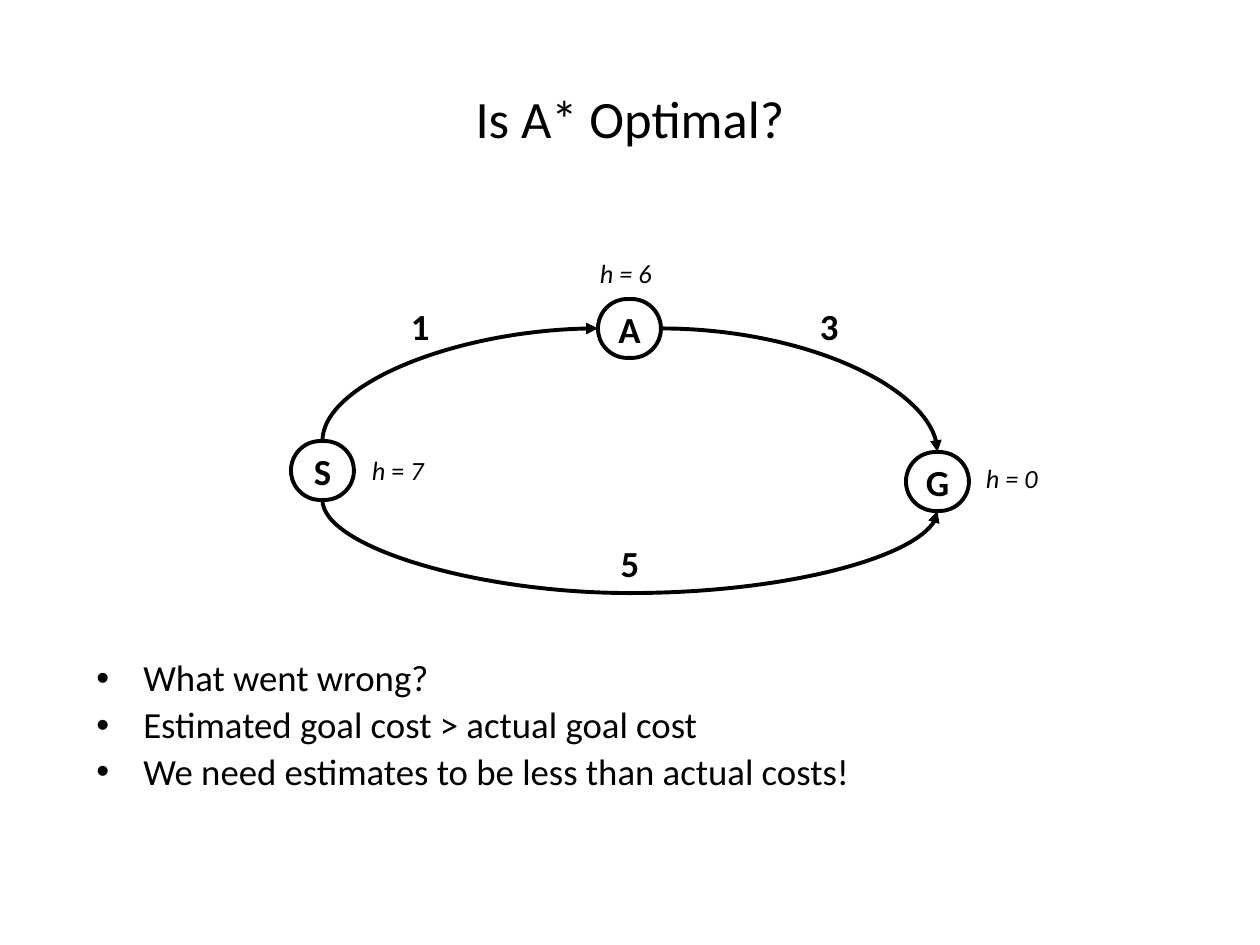
from dataclasses import dataclass

from lxml.etree import SubElement
from pptx import Presentation
from pptx.dml.color import RGBColor
from pptx.enum.shapes import MSO_CONNECTOR, MSO_SHAPE
from pptx.enum.text import MSO_ANCHOR, PP_ALIGN
from pptx.oxml.ns import qn
from pptx.util import Emu, Pt


@dataclass(frozen=True)
class Theme:
    font: str = "Calibri"
    ink: RGBColor = RGBColor(0, 0, 0)
    title: int = 30
    text: int = 21
    small: int = 15
    line: float = 2.25


# Content: all lengths in px, 126 to the inch
TITLE = "Is A* Optimal?"
BULLETS = ["What went wrong?",
           "Estimated goal cost > actual goal cost",
           "We need estimates to be less than actual costs!"]
NODE_W, NODE_H = 63, 59
NODES = {"A": (598, 299), "G": (906, 452), "S": (291, 441)}
COSTS = [("1", (402, 299, 48, 54), PP_ALIGN.LEFT),
         ("3", (811, 299, 48, 54), PP_ALIGN.LEFT),
         ("5", (0, 536, 1260, 54), PP_ALIGN.CENTER)]
# Heuristic labels as (text, italic) runs
HEURISTICS = [([("h = 6", True)], (591, 252, 95, 42)),
              ([("h = 0", True)], (977, 457, 95, 42)),
              ([("h", True), (" = ", False), ("7", True)], (363, 449, 78, 42))]
# From node and side, to node and side, preset rotation, depth of the bend
EDGES = [("S", "bottom", "G", "bottom", 270, 93),
         ("S", "top", "A", "left", 90, None),
         ("A", "right", "G", "top", 0, None)]
SIDES = {"left": (0, 0.5), "right": (1, 0.5), "top": (0.5, 0), "bottom": (0.5, 1)}

T = Theme()
prs = Presentation()
prs.slide_width, prs.slide_height = Emu(9144000), Emu(6858000)
s = prs.slides.add_slide(prs.slide_layouts[6])


def px(n):
    return Emu(round(n * 914400 / 126))


def style(r, size, bold=False, italic=False):
    f = r.font
    f.name, f.size, f.bold, f.italic = T.font, Pt(size), bold, italic
    f.color.rgb = T.ink


def tight(tf):
    tf.margin_left = tf.margin_right = px(9)
    tf.margin_top = tf.margin_bottom = px(5)


def text_box(box):
    tf = s.shapes.add_textbox(*map(px, box)).text_frame
    tf.word_wrap = True
    return tf


def add_run(p, text, size, **kw):
    r = p.add_run()
    r.text = text
    style(r, size, **kw)


def add_node(name, at):
    sp = s.shapes.add_shape(MSO_SHAPE.ROUNDED_RECTANGLE,
                            *map(px, (*at, NODE_W, NODE_H)))
    sp.adjustments[0] = 0.5
    sp.shadow.inherit = False
    sp.fill.background()
    sp.line.color.rgb, sp.line.width = T.ink, Pt(T.line)
    tf = sp.text_frame
    tight(tf)
    tf.word_wrap, tf.vertical_anchor = False, MSO_ANCHOR.MIDDLE
    tf.paragraphs[0].alignment = PP_ALIGN.CENTER
    add_run(tf.paragraphs[0], name, T.text, bold=True)


def site(name, side):
    (x, y), (fx, fy) = NODES[name], SIDES[side]
    return x + fx * NODE_W, y + fy * NODE_H


def add_edge(start, end, rot, dip):
    # Turn the end points back about their middle; the rotation restores them
    mx, my = (start[0] + end[0]) / 2, (start[1] + end[1]) / 2
    cos, sin = {0: (1, 0), 90: (0, 1), 270: (0, -1)}[rot]
    ends = []
    for x, y in (start, end):
        dx, dy = x - mx, y - my
        ends += [mx + dx * cos + dy * sin, my + dy * cos - dx * sin]
    c = s.shapes.add_connector(MSO_CONNECTOR.CURVE, *map(px, ends))
    c.line.color.rgb, c.line.width = T.ink, Pt(T.line)
    pr = c._element.spPr
    if rot:
        pr.find(qn("a:xfrm")).set("rot", str(rot * 60000))
    geom = pr.find(qn("a:prstGeom"))
    if dip:
        ratio = round(dip / (end[1] - start[1]) * 100000)
        guides = geom.find(qn("a:avLst"))
        SubElement(guides, qn("a:gd"), name="adj1", fmla=f"val {ratio}")
    else:
        geom.set("prst", "curvedConnector2")
    SubElement(pr.find(qn("a:ln")), qn("a:tailEnd"), type="triangle")
    SubElement(pr, qn("a:effectLst"))


# Title
tf = text_box((63, 38, 1134, 158))
tf.vertical_anchor = MSO_ANCHOR.MIDDLE
tf.paragraphs[0].alignment = PP_ALIGN.CENTER
add_run(tf.paragraphs[0], TITLE, T.title)

# Bullets
tf = text_box((84, 654, 1134, 176))
for i, text in enumerate(BULLETS):
    p = tf.add_paragraph() if i else tf.paragraphs[0]
    p.line_spacing = 0.9
    if i:
        p.space_before = Pt(4)
    pPr = p._p.get_or_add_pPr()
    pPr.set("marL", str(px(47)))
    pPr.set("indent", str(-px(47)))
    SubElement(pPr, qn("a:buFont"), typeface="Arial")
    SubElement(pPr, qn("a:buChar"), char="•")
    add_run(p, text, T.text)

# Graph nodes
for name, at in NODES.items():
    add_node(name, at)

# Edge costs and heuristic labels
for text, box, align in COSTS:
    tf = text_box(box)
    tight(tf)
    tf.paragraphs[0].alignment = align
    add_run(tf.paragraphs[0], text, T.text, bold=True)
for runs, box in HEURISTICS:
    tf = text_box(box)
    tight(tf)
    for text, italic in runs:
        add_run(tf.paragraphs[0], text, T.small, italic=italic)

# Curved edges
for a, a_side, b, b_side, rot, dip in EDGES:
    add_edge(site(a, a_side), site(b, b_side), rot, dip)

prs.save("out.pptx")
